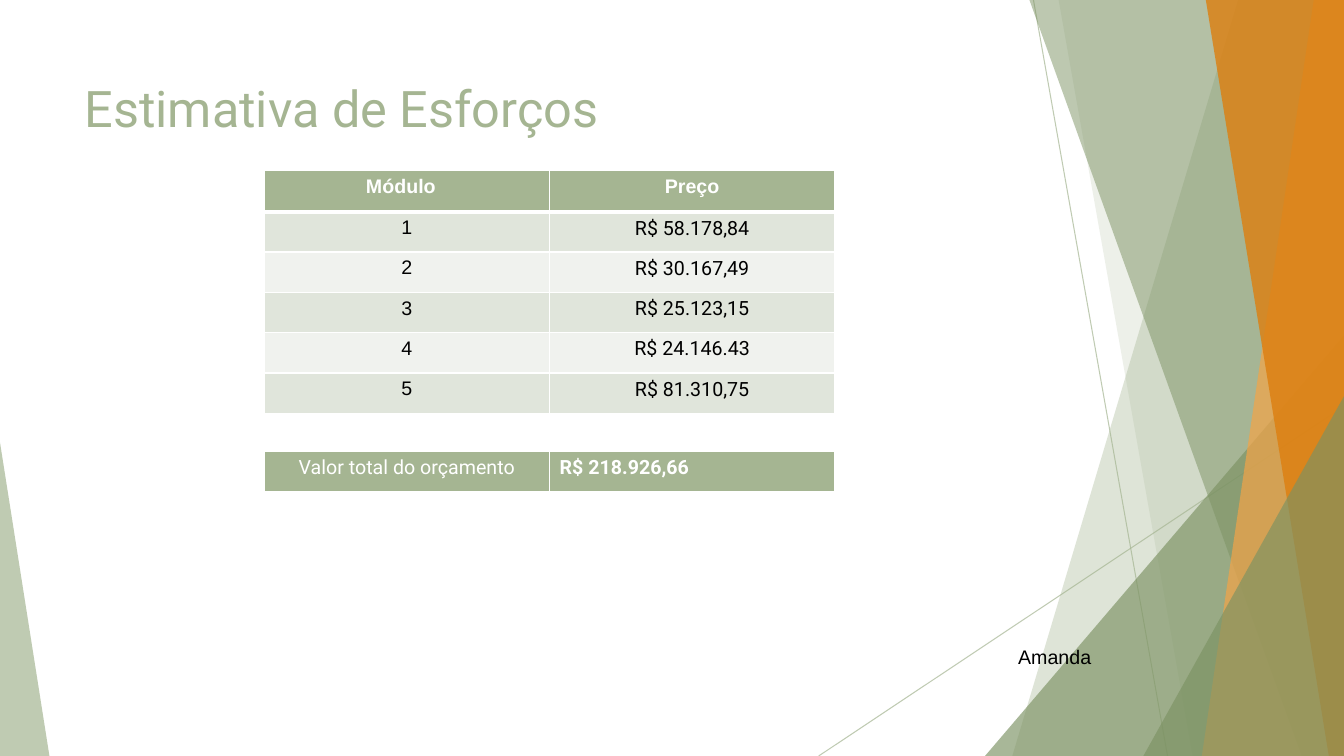
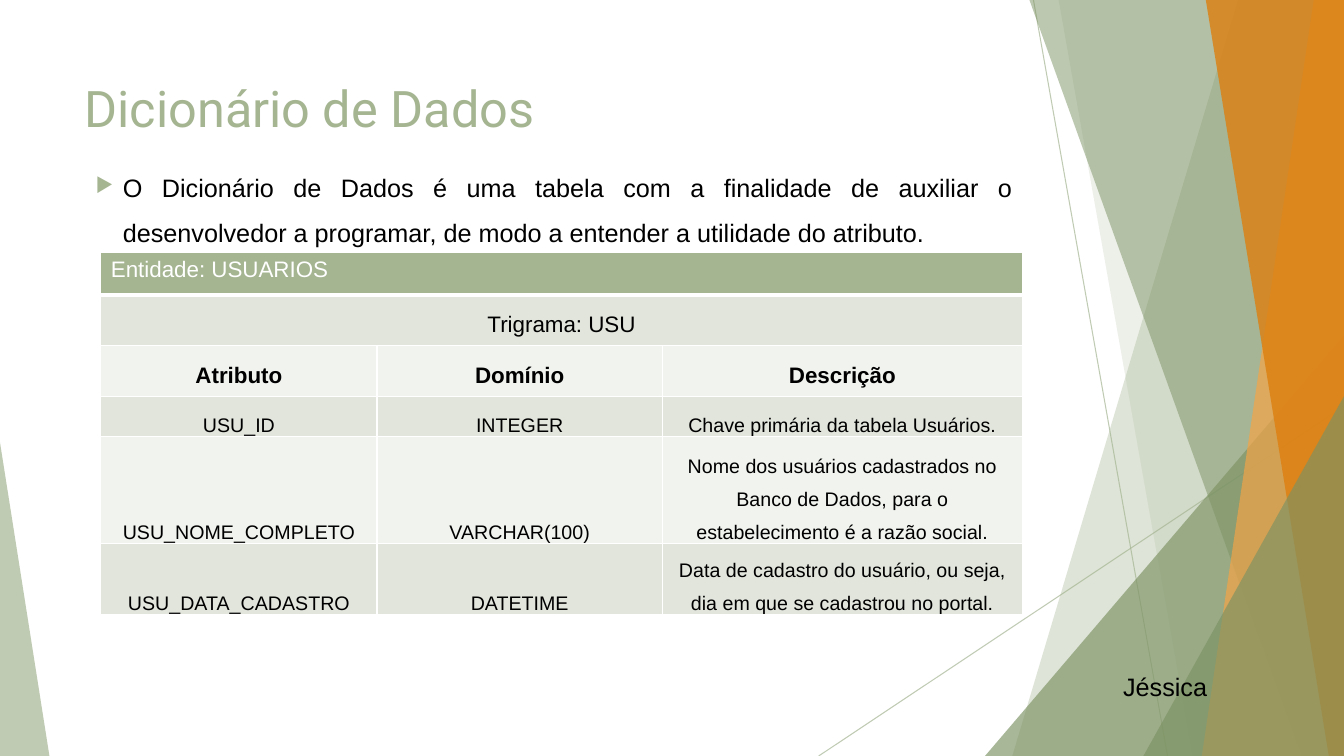
from dataclasses import dataclass

from lxml.etree import SubElement
from pptx import Presentation
from pptx.dml.color import RGBColor
from pptx.enum.shapes import MSO_CONNECTOR, MSO_SHAPE
from pptx.enum.text import MSO_ANCHOR, PP_ALIGN
from pptx.oxml.ns import qn
from pptx.util import Inches, Pt

WIDTH, HEIGHT = 13.33, 7.5
SAGE, FOREST, AMBER, ORANGE = "A5B592", "7C9263", "F3A447", "DD7E0E"
WHITE, BLACK = "FFFFFF", "000000"
LEFT, CENTER, JUSTIFY = PP_ALIGN.LEFT, PP_ALIGN.CENTER, PP_ALIGN.JUSTIFY


@dataclass
class Text:
    text: str
    size: int = 14
    font: str = "Arial"
    color: str = BLACK
    bold: bool = False
    alignment: PP_ALIGN = CENTER
    spacing: float = 1.0
    indent: float = 0
    bullet: bool = False


@dataclass
class Row:
    height: float
    fill: str
    cells: list  # a single cell spans the whole row
    tight: bool = False
    rule: float = 1


def rgb(color):
    return RGBColor.from_string(color)


def set_alpha(properties, percent):
    color = next(properties.iter(qn("a:srgbClr")))
    SubElement(color, qn("a:alpha"), val=str(percent * 1000))


# Text
def write(paragraph, content):
    paragraph.alignment = content.alignment
    paragraph.line_spacing = content.spacing
    run = paragraph.add_run()
    run.text = content.text
    run.font.size = Pt(content.size)
    run.font.name = content.font
    run.font.bold = content.bold
    run.font.color.rgb = rgb(content.color)
    if content.indent:
        paragraph._p.get_or_add_pPr().set("marL", str(Inches(content.indent)))
    if content.bullet:
        add_bullet(paragraph)


def add_bullet(paragraph):
    paragraph.space_before = Pt(10)
    properties = paragraph._p.get_or_add_pPr()
    properties.set("indent", str(Inches(-0.27)))
    color = SubElement(properties, qn("a:buClr"))
    SubElement(color, qn("a:srgbClr"), val=SAGE)
    SubElement(properties, qn("a:buSzPct"), val="80000")
    SubElement(properties, qn("a:buChar"), char="▶")


def add_text(slide, left, top, width, height, content, inset=0.05, wrap=True):
    box = slide.shapes.add_textbox(
        Inches(left), Inches(top), Inches(width), Inches(height))
    frame = box.text_frame
    frame.word_wrap = wrap
    frame.margin_top = frame.margin_bottom = Inches(inset)
    write(frame.paragraphs[0], content)


def add_title(slide, title):
    content = Text(title, 36, "Roboto", SAGE, alignment=LEFT)
    add_text(slide, 0.74, 0.67, 9.4, 1.44, content, inset=0.1)


# Background decoration
def paint(shape, color, alpha):
    shape.shadow.inherit = False
    shape.fill.solid()
    shape.fill.fore_color.rgb = rgb(color)
    shape.line.fill.background()
    set_alpha(shape._element.spPr, alpha)


def add_thin_line(slide, x1, y1, x2, y2):
    connector = slide.shapes.add_connector(
        MSO_CONNECTOR.STRAIGHT, Inches(x1), Inches(y1), Inches(x2), Inches(y2))
    connector.line.width = Pt(0.75)
    connector.line.color.rgb = rgb(SAGE)
    properties = connector._element.spPr
    set_alpha(properties, 70)
    SubElement(properties, qn("a:effectLst"))


def add_band(slide, top_x, bottom_x, color, alpha):
    """Band from a slanted left edge to the right side of the slide."""
    builder = slide.shapes.build_freeform(Inches(top_x), 0)
    corners = [(WIDTH, 0), (WIDTH, HEIGHT), (bottom_x, HEIGHT)]
    builder.add_line_segments([(Inches(x), Inches(y)) for x, y in corners])
    paint(builder.convert_to_shape(), color, alpha)


def add_corner(slide, left, top, width, apex, color, alpha):
    """Triangle standing on the bottom edge; apex 0 is left, 1 is right."""
    triangle = slide.shapes.add_shape(
        MSO_SHAPE.ISOSCELES_TRIANGLE, Inches(left), Inches(top),
        Inches(width), Inches(HEIGHT - top))
    triangle.adjustments[0] = apex
    paint(triangle, color, alpha)


def add_decoration(slide):
    add_thin_line(slide, 10.25, 0, 11.58, HEIGHT)
    add_thin_line(slide, WIDTH, 4.03, 8.12, HEIGHT)
    add_band(slide, 12.28, 10.04, SAGE, 36)
    add_band(slide, 10.5, 11.83, SAGE, 20)
    add_corner(slide, 9.77, 3.33, 3.56, 1, FOREST, 66)
    add_band(slide, 10.21, 12.91, FOREST, 50)
    add_band(slide, 13.03, 11.92, AMBER, 70)
    add_band(slide, 11.96, 13.18, ORANGE, 80)
    add_corner(slide, 11.34, 3.93, 1.99, 1, FOREST, 66)
    add_corner(slide, 0, 4.39, 0.49, 0, SAGE, 70)


# Tables
def format_cell(cell, row, top_rule):
    properties = cell._tc.get_or_add_tcPr()
    rules = {"lnL": 1, "lnR": 1, "lnT": top_rule, "lnB": row.rule}
    for side, points in rules.items():
        border = SubElement(properties, qn(f"a:{side}"), w=str(Pt(points)))
        fill = SubElement(border, qn("a:solidFill"))
        SubElement(fill, qn("a:srgbClr"), val=WHITE)
    cell.fill.solid()
    cell.fill.fore_color.rgb = rgb(row.fill)
    if row.tight:
        cell.vertical_anchor = MSO_ANCHOR.BOTTOM
        cell.margin_left = cell.margin_right = cell.margin_top = Inches(0.01)
        cell.margin_bottom = 0


def add_table(slide, left, top, widths, rows):
    frame = slide.shapes.add_table(
        len(rows), len(widths), Inches(left), Inches(top),
        Inches(sum(widths)), Inches(sum(row.height for row in rows)))
    table = frame.table
    for column, width in zip(table.columns, widths):
        column.width = Inches(width)
    top_rule = 1
    for index, row in enumerate(rows):
        table.rows[index].height = Inches(row.height)
        cells = list(table.rows[index].cells)
        for cell in cells:
            format_cell(cell, row, top_rule)
        if len(row.cells) == 1:
            cells[0].merge(cells[-1])
        for cell, content in zip(cells, row.cells):
            write(cell.text_frame.paragraphs[0], content)
        top_rule = row.rule


# Slides
def new_slide(presentation, title):
    slide = presentation.slides.add_slide(presentation.slide_layouts[6])
    add_decoration(slide)
    add_title(slide, title)
    return slide


def build_estimate(presentation):
    slide = new_slide(presentation, "Estimativa de Esforços")
    stripes = ["E0E5DB", "F0F2EE"]
    prices = ["R$ 58.178,84", "R$ 30.167,49", "R$ 25.123,15",
              "R$ 24.146.43", "R$ 81.310,75"]
    header = [
        Text("Módulo", color=WHITE, bold=True, alignment=LEFT, indent=0.91),
        Text("Preço", color=WHITE, bold=True)]
    rows = [Row(0.41, SAGE, header, rule=3)]
    for index, price in enumerate(prices):
        cells = [Text(str(index + 1)), Text(price, font="Roboto")]
        rows.append(Row(0.4, stripes[index % 2], cells))
    total = [
        Text("Valor total do orçamento", font="Roboto", color=WHITE),
        Text("R$ 218.926,66", font="Roboto", color=WHITE, bold=True,
             alignment=LEFT)]
    widths = [2.83, 2.83]
    add_table(slide, 2.62, 1.69, widths, rows)
    add_table(slide, 2.62, 4.48, widths, [Row(0.41, SAGE, total, rule=3)])
    add_text(slide, 10, 6.35, 0.93, 0.34, Text("Amanda", alignment=LEFT),
             wrap=False)


def build_dictionary(presentation):
    slide = new_slide(presentation, "Dicionário de Dados")
    introduction = (
        "O Dicionário de Dados é uma tabela com a finalidade de auxiliar o "
        "desenvolvedor a programar, de modo a entender a utilidade do atributo.")
    add_text(slide, 0.74, 1.46, 9.4, 4.24,
             Text(introduction, 18, alignment=JUSTIFY, spacing=1.5,
                  indent=0.38, bullet=True), inset=0.1)
    add_text(slide, 11.04, 6.61, 2.29, 0.4,
             Text("Jéssica", 18, alignment=LEFT))

    dark, light = "E1E5DC", "F0F3EE"
    entity = Text("Entidade: USUARIOS", 16, color=WHITE, alignment=LEFT)
    headings = [Text(name, 16, bold=True, spacing=1.5)
                for name in ("Atributo", "Domínio", "Descrição")]
    rows = [
        Row(0.43, SAGE, [entity], rule=3),
        Row(0.5, dark, [Text("Trigrama: USU", 16, spacing=1.5)]),
        Row(0.5, light, headings)]
    attributes = [
        (0.4, dark, "USU_ID", "INTEGER", "Chave primária da tabela Usuários."),
        (1.06, light, "USU_NOME_COMPLETO", "VARCHAR(100)",
         "Nome dos usuários cadastrados no Banco de Dados, para o "
         "estabelecimento é a razão social."),
        (0.7, dark, "USU_DATA_CADASTRO", "DATETIME",
         "Data de cadastro do usuário, ou seja, dia em que se cadastrou "
         "no portal.")]
    for height, fill, *values in attributes:
        cells = [Text(value, spacing=1.5) for value in values]
        rows.append(Row(height, fill, cells, tight=True))
    add_table(slide, 1, 2.5, [2.74, 2.83, 3.57], rows)


def main():
    presentation = Presentation()
    presentation.slide_width = Inches(WIDTH)
    presentation.slide_height = Inches(HEIGHT)
    build_estimate(presentation)
    build_dictionary(presentation)
    presentation.save("out.pptx")


if __name__ == "__main__":
    main()
